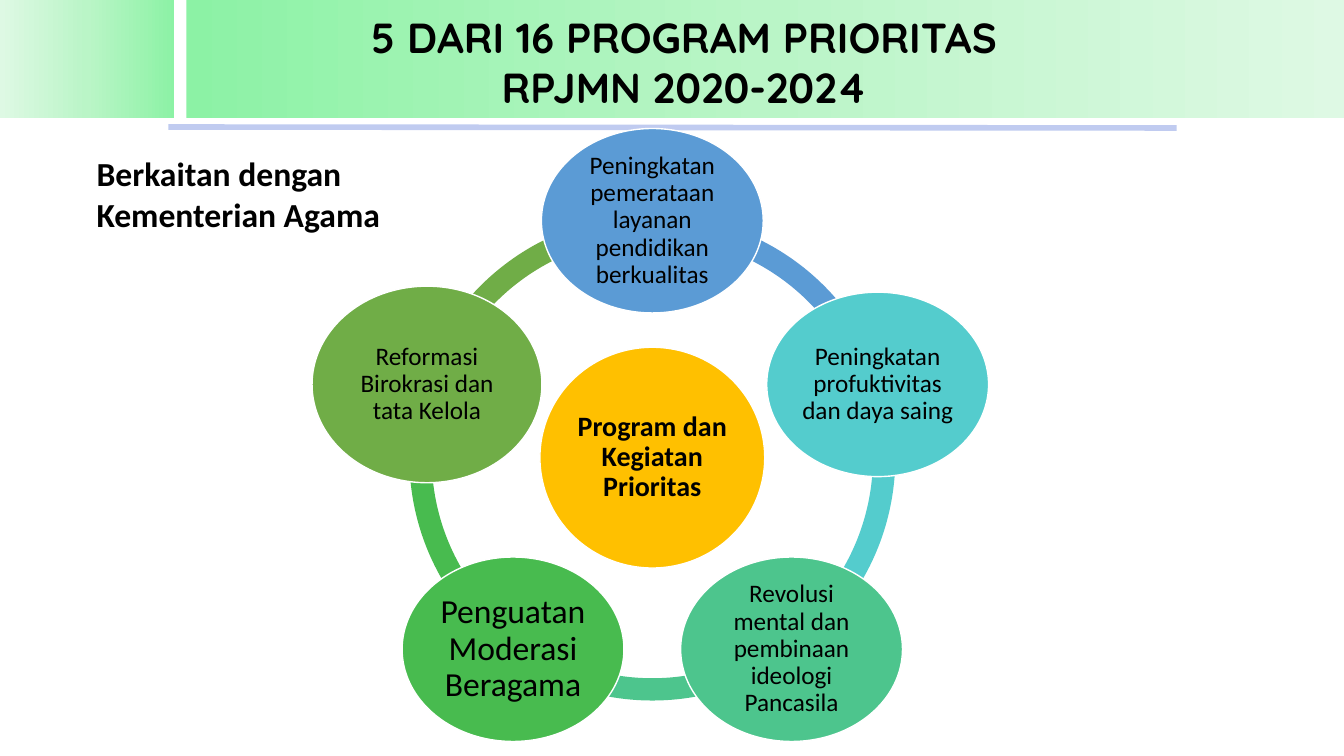
from copy import deepcopy
from math import cos, radians, sin

from pptx import Presentation
from pptx.dml.color import RGBColor as RGB
from pptx.enum.shapes import MSO_CONNECTOR as CONN, MSO_SHAPE as SHAPE
from pptx.enum.text import MSO_ANCHOR as ANCHOR, PP_ALIGN as ALIGN
from pptx.oxml.ns import qn
from pptx.util import Inches, Pt

THEME = {
    "band": ["8CF2A5", "BAF5C7", "DEF9E4"],
    "rule": "C0CBF0", "hub": "FFC000", "outline": "FFFFFF", "text": "000000",
    "blue": "5B9BD5", "teal": "54CCCD", "mint": "4DC58D",
    "green": "48BB4F", "olive": "70AD47",
    "title_font": "Quicksand", "body_font": "Calibri",
    "title": 30, "large": 24, "hub_size": 20, "node": 18,
}


def add_filled(kind, x, y, w, h, color=None):
    sp = s.shapes.add_shape(kind, Inches(x), Inches(y), Inches(w), Inches(h))
    sp.shadow.inherit = False
    sp.line.fill.background()
    if color:
        sp.fill.solid()
        sp.fill.fore_color.rgb = RGB.from_string(color)
    return sp


def set_text(sp, lines, size, insets, font="body_font", bold=False,
             align=ALIGN.CENTER, anchor=ANCHOR.MIDDLE, spacing=None):
    tf = sp.text_frame
    tf.word_wrap = True
    tf.vertical_anchor = anchor
    tf.margin_left, tf.margin_top, tf.margin_right, tf.margin_bottom = map(Inches, insets)
    tf.text = "\n".join(lines)
    for p in tf.paragraphs:
        p.alignment = align
        p.line_spacing = spacing
        p.font.name = THEME[font]
        p.font.size = Pt(THEME[size])
        p.font.bold = bold
        p.font.color.rgb = RGB.from_string(THEME["text"])


prs = Presentation()
prs.slide_width, prs.slide_height = Inches(13.33), Inches(7.5)
s = prs.slides.add_slide(prs.slide_layouts[6])

# Header bands
for x, w, angle in [(0, 1.73, 180), (1.85, 11.5, 0)]:
    band = add_filled(SHAPE.RECTANGLE, x, 0, w, 1.17)
    band.fill.gradient()
    band.fill.gradient_angle = angle
    stops = band._element.spPr.find(".//" + qn("a:gsLst"))
    stops.insert(1, deepcopy(stops[0]))
    for stop, position, color in zip(band.fill.gradient_stops, (0, 0.5, 1), THEME["band"]):
        stop.position = position
        stop.color.rgb = RGB.from_string(color)

# Title and rule
title = s.shapes.add_textbox(Inches(2.49), 0, Inches(8.59), Inches(1.17))
set_text(title, ["5 DARI 16 PROGRAM PRIORITAS", "RPJMN 2020-2024"], "title",
         (0, 0.05, 0, 0), font="title_font", bold=True)
rule = s.shapes.add_connector(CONN.STRAIGHT, Inches(1.67), Inches(1.26),
                              Inches(11.67), Inches(1.27))
rule.line.color.rgb = RGB.from_string(THEME["rule"])
rule.line.width = Pt(4)
rule._element.spPr.append(rule._element.makeelement(qn("a:effectLst")))

# Programs, clockwise from the top: text, colour, text size, width, height
PROGRAMS = [
    ("Peningkatan pemerataan layanan pendidikan berkualitas", "blue", "node", 2.2, 1.83),
    ("Peningkatan profuktivitas dan daya saing", "teal", "node", 2.2, 1.83),
    ("Revolusi mental dan pembinaan ideologi Pancasila", "mint", "node", 2.2, 1.83),
    ("Penguatan Moderasi Beragama", "green", "large", 2.2, 1.83),
    ("Reformasi Birokrasi dan tata Kelola", "olive", "node", 2.28, 1.95),
]
CX, CY, RADIUS, RING = 6.47, 4.54, 2.35, 4.82
STEP = 360 / len(PROGRAMS)

# Ring: one arc from each program to the next, the last one at the back
for i in reversed(range(len(PROGRAMS))):
    arc = add_filled(SHAPE.BLOCK_ARC, CX - RING / 2, CY - RING / 2, RING, RING,
                     THEME[PROGRAMS[i][1]])
    start = (270 + i * STEP) % 360
    # Angles are stored in 60000ths of a degree, adjustments in 100000ths
    arc.adjustments[0] = start * 0.6
    arc.adjustments[1] = (start + STEP) % 360 * 0.6
    arc.adjustments[2] = 0.046

# Hub and program circles
circles = [("Program dan Kegiatan Prioritas", "hub", "hub_size", 2.23, 2.19, CX, CY)]
for i, program in enumerate(PROGRAMS):
    angle = radians(270 + i * STEP)
    circles.append((*program, CX + RADIUS * cos(angle), CY + RADIUS * sin(angle)))
for text, color, size, w, h, x, y in circles:
    circle = add_filled(SHAPE.OVAL, x - w / 2, y - h / 2, w, h, THEME[color])
    circle.line.color.rgb = RGB.from_string(THEME["outline"])
    circle.line.width = Pt(1)
    set_text(circle, [text], size, [0.03] * 4, bold=color == "hub", spacing=0.9)

# Side note
note = s.shapes.add_textbox(Inches(0.86), Inches(1.47), Inches(3.44), Inches(0.91))
set_text(note, ["Berkaitan dengan Kementerian Agama"], "large", (0.1, 0.05, 0.1, 0.05),
         bold=True, align=ALIGN.LEFT, anchor=ANCHOR.TOP)

prs.save("out.pptx")
